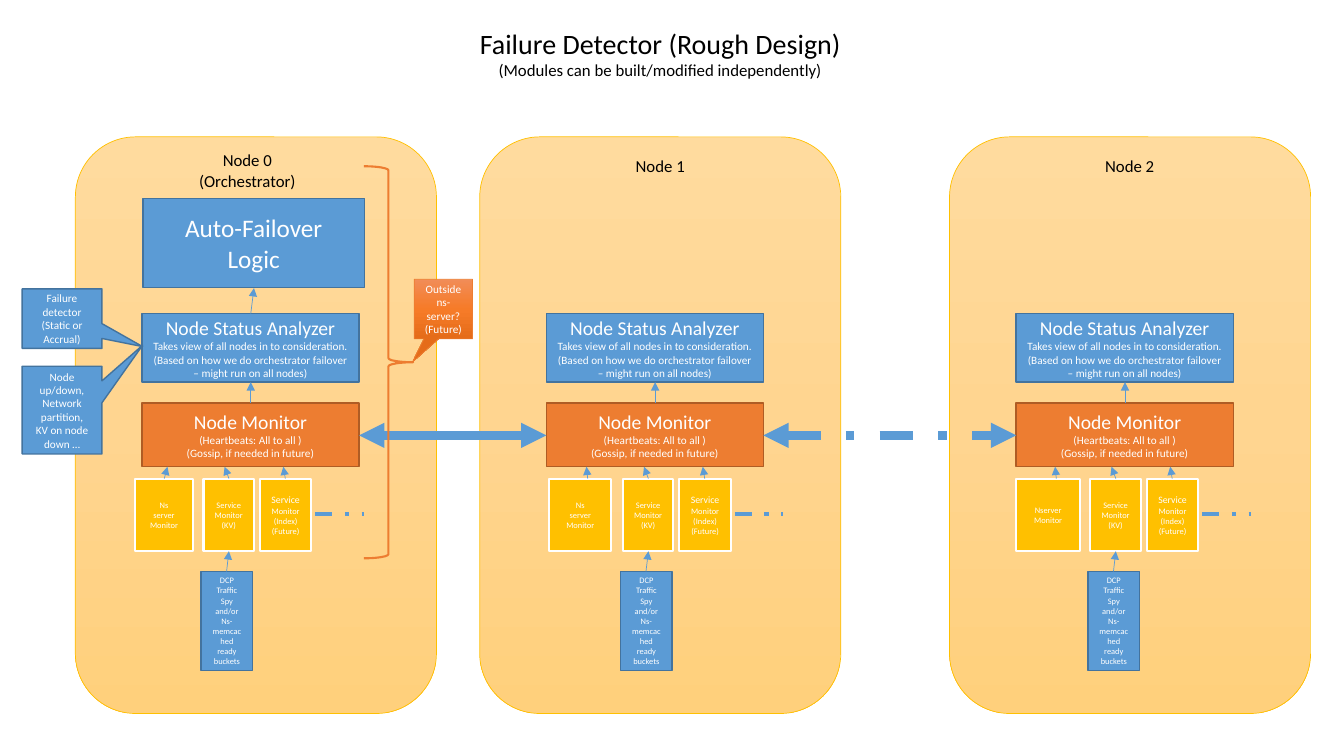
"""Build the failure detector design slide with three cluster nodes."""
import copy

import pptx
import pptx.util
from pptx.dml.color import RGBColor
from pptx.enum.dml import MSO_LINE
from pptx.enum.shapes import MSO_CONNECTOR, MSO_SHAPE
from pptx.enum.text import MSO_ANCHOR, MSO_AUTO_SIZE, PP_ALIGN
from pptx.oxml.ns import qn
from pptx.util import Cm, Pt

FONT = "Calibri"
BLACK = RGBColor(0x00, 0x00, 0x00)
WHITE = RGBColor(0xFF, 0xFF, 0xFF)
BLUE = RGBColor(0x5B, 0x9B, 0xD5)
DARK_BLUE = RGBColor(0x43, 0x73, 0x9E)
ORANGE = RGBColor(0xED, 0x7D, 0x31)
DARK_ORANGE = RGBColor(0xAF, 0x5C, 0x24)
GOLD = RGBColor(0xFF, 0xC0, 0x00)
NODE_SHADES = [RGBColor(0xFF, 0xDB, 0x9E), RGBColor(0xFF, 0xD5, 0x90), RGBColor(0xFF, 0xD0, 0x7C)]
FUTURE_SHADES = [RGBColor(0xF1, 0x8C, 0x57), RGBColor(0xF6, 0x7B, 0x28), RGBColor(0xE5, 0x6C, 0x19)]

ANALYZER_TOP, ANALYZER_BOTTOM = 7.9, 9.63
MONITOR_TOP, MONITOR_BOTTOM = 10.16, 11.76
SERVICE_TOP, SERVICE_BOTTOM = 12.06, 13.89
SPY_TOP = 14.4
MONITOR_INSET, MONITOR_WIDTH = 1.68, 5.47

NODES = [
    {"left": 1.9, "name": ["Node 0", "(Orchestrator)"], "name_box": (4.75, 3.66, 2.97, 1.27),
     "kv": 5.13, "server": ["Ns", "server Monitor"], "server_left": 3.4,
     "server_width": 1.47, "server_arrow": (4.14, 4.22)},
    {"left": 12.09, "name": ["Node 1"], "name_box": (15.75, 3.81, 1.78, 0.76),
     "kv": 15.7, "server": ["Ns", "server Monitor"], "server_left": 13.84,
     "server_width": 1.57, "server_arrow": (14.81, 14.78)},
    {"left": 23.93, "name": ["Node 2"], "name_box": (27.58, 3.81, 1.78, 0.76),
     "kv": 27.48, "server": ["Nserver", "Monitor"], "server_left": 25.6,
     "server_width": 1.63, "server_arrow": (26.62, 26.59)},
]


def write(frame, lines, size, lead_size=None, color=WHITE):
    """Write centred paragraphs, the first at its own size if given."""
    frame.text = "\n".join(lines)
    for index, paragraph in enumerate(frame.paragraphs):
        paragraph.alignment = PP_ALIGN.CENTER
        paragraph.font.name = FONT
        paragraph.font.size = Pt(lead_size if lead_size and index == 0 else size)
        paragraph.font.color.rgb = color


def shade(shape, colors):
    """Fill a shape with a three-step gradient from top to bottom."""
    shape.fill.gradient()
    shape.fill.gradient_angle = 270
    stop_list = shape.element.spPr.find(".//" + qn("a:gsLst"))
    stop_list.insert(1, copy.deepcopy(stop_list[0]))
    for stop, position, color in zip(shape.fill.gradient_stops, (0, 0.5, 1), colors):
        stop.position = position
        stop.color.rgb = color


def block(shapes, box, fill, border, lines=(), size=8, lead_size=None,
          kind=MSO_SHAPE.RECTANGLE, weight=1, adjust=()):
    """Add a preset shape with a plain, graded or empty fill."""
    shape = shapes.add_shape(kind, *map(Cm, box))
    shape.shadow.inherit = False
    if fill is None:
        shape.fill.background()
    elif isinstance(fill, list):
        shade(shape, fill)
    else:
        shape.fill.solid()
        shape.fill.fore_color.rgb = fill
    shape.line.color.rgb = border
    shape.line.width = Pt(weight)
    for index, value in enumerate(adjust):
        shape.adjustments[index] = value
    if lines:
        shape.text_frame.vertical_anchor = MSO_ANCHOR.MIDDLE
        write(shape.text_frame, lines, size, lead_size)
    return shape


def link(shapes, start, end, weight=0.5, arrows=("tailEnd",), dashed=False):
    """Add a straight blue line with the given arrowheads."""
    line = shapes.add_connector(MSO_CONNECTOR.STRAIGHT, *map(Cm, start + end))
    line.line.color.rgb = BLUE
    line.line.width = Pt(weight)
    if dashed:
        line.line.dash_style = MSO_LINE.DASH_DOT
    properties = line.element.spPr
    for arrow in arrows:
        head = properties.find(qn("a:ln")).makeelement(qn("a:" + arrow), {"type": "triangle"})
        properties.find(qn("a:ln")).append(head)
    properties.append(properties.makeelement(qn("a:effectLst"), {}))


def add_title(slide):
    """Place the title and its remark in the title placeholder."""
    title = slide.shapes.title
    title.left, title.top, title.width, title.height = map(Cm, (11.79, 0.53, 9.7, 1.63))
    frame = title.text_frame
    write(frame, ["Failure Detector (Rough Design)",
                  "(Modules can be built/modified independently)"], 12, 20, BLACK)
    frame.auto_size = MSO_AUTO_SIZE.NONE
    frame.word_wrap = False
    frame.vertical_anchor = MSO_ANCHOR.TOP


def add_node(shapes, node):
    """Add a node panel with its name, monitor and status analyzer."""
    left = node["left"]
    block(shapes, (left, 3.45, 9.1, 14.53), NODE_SHADES, GOLD,
          kind=MSO_SHAPE.ROUNDED_RECTANGLE, weight=0.5)
    inner = left + MONITOR_INSET
    block(shapes, (inner, MONITOR_TOP, MONITOR_WIDTH, MONITOR_BOTTOM - MONITOR_TOP),
          ORANGE, DARK_ORANGE,
          ["Node Monitor", "(Heartbeats: All to all )", "(Gossip, if needed in future)"],
          lead_size=14)
    block(shapes, (inner, ANALYZER_TOP, MONITOR_WIDTH, ANALYZER_BOTTOM - ANALYZER_TOP),
          BLUE, DARK_BLUE,
          ["Node Status Analyzer", "Takes view of all nodes in to consideration.",
           "(Based on how we do orchestrator failover – might run on all nodes)"],
          lead_size=14)
    middle = left + 4.42
    link(shapes, (middle, MONITOR_TOP), (middle, ANALYZER_BOTTOM))
    name = shapes.add_textbox(*map(Cm, node["name_box"])).text_frame
    name.word_wrap = False
    write(name, node["name"], 12, color=BLACK)


def add_services(shapes, node):
    """Add the grouped service monitors that feed a node monitor."""
    group = shapes.add_group_shape().shapes
    kv = node["kv"]
    height = SERVICE_BOTTOM - SERVICE_TOP

    def service(left, width, lines, lead_size=None):
        return block(group, (left, SERVICE_TOP, width, height), GOLD, WHITE,
                     lines, 6, lead_size, weight=1.5)

    service(kv, 1.27, ["Service Monitor", "(KV)"])
    block(group, (kv - 0.06, SPY_TOP, 1.3, 2.49), BLUE, DARK_BLUE,
          ["DCP Traffic Spy and/or", "Ns-memcached", "ready buckets"], 6)
    index_service = service(kv + 1.42, 1.3, ["Service ", "(Index)", "(Future)"], 7)
    suffix = index_service.text_frame.paragraphs[0].add_run()
    suffix.text = "Monitor"
    suffix.font.size = Pt(6)
    service(node["server_left"], node["server_width"], node["server"])

    link(group, (kv + 2.82, 12.95), (kv + 4.04, 12.95), 3, (), True)
    link(group, (kv + 0.58, SPY_TOP), (kv + 0.64, SERVICE_BOTTOM))
    feeds = [(kv + 0.64, kv + 0.53), (kv + 2.06, kv + 2.01), node["server_arrow"]]
    for start, end in feeds:
        link(group, (start, SERVICE_TOP), (end, MONITOR_BOTTOM))


def add_orchestrator(shapes):
    """Add the failover logic, brace and callouts of the orchestrator."""
    block(shapes, (3.6, 5, 5.59, 2.24), BLUE, DARK_BLUE, ["Auto-Failover", "Logic"], 18)
    link(shapes, (6.32, ANALYZER_TOP), (6.4, 7.26))
    callout = MSO_SHAPE.RECTANGULAR_CALLOUT
    block(shapes, (0.56, 7.28, 2.01, 1.5), BLUE, DARK_BLUE,
          ["Failure detector", "(Static or Accrual)"], kind=callout, adjust=(1.01, 0.47))
    block(shapes, (0.56, 9.23, 2.01, 2.21), BLUE, DARK_BLUE,
          ["Node up/down,", "Network partition,", "KV on node down …"],
          kind=callout, adjust=(1.01, -0.74))
    block(shapes, (9.17, 4.19, 1.24, 9.88), None, ORANGE,
          kind=MSO_SHAPE.RIGHT_BRACE, weight=1.5)
    block(shapes, (10.44, 7.04, 1.47, 1.5), FUTURE_SHADES, ORANGE,
          ["Outside ns-server?", "(Future)"], kind=callout, weight=0.5, adjust=(-0.53, 0.89))


def main():
    """Assemble and save the slide."""
    deck = pptx.Presentation()
    deck.slide_width, deck.slide_height = Cm(33.87), Cm(19.05)
    slide = deck.slides.add_slide(deck.slide_layouts.get_by_name("Title Only"))
    shapes = slide.shapes
    add_title(slide)
    for node in NODES:
        add_node(shapes, node)
    for node, neighbour, dashed in zip(NODES, NODES[1:], (False, True)):
        start = node["left"] + MONITOR_INSET + MONITOR_WIDTH
        end = neighbour["left"] + MONITOR_INSET
        link(shapes, (start, 10.97), (end, 10.97), 6, ("headEnd", "tailEnd"), dashed)
    add_orchestrator(shapes)
    for node in NODES:
        add_services(shapes, node)
    deck.save("out.pptx")


main()
